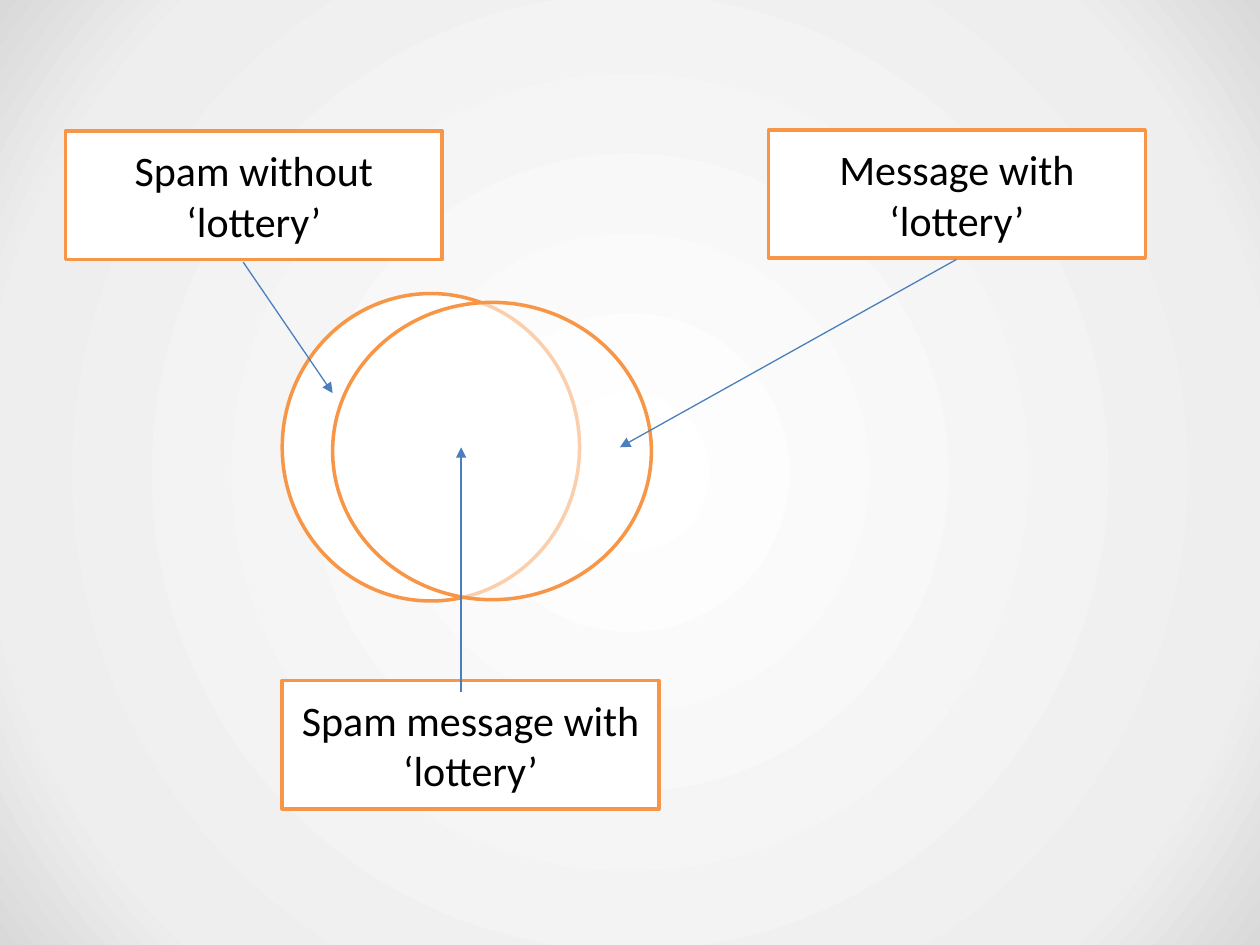
from lxml.etree import SubElement
from pptx import Presentation
from pptx.dml.color import RGBColor
from pptx.enum.shapes import MSO_CONNECTOR, MSO_SHAPE
from pptx.enum.text import MSO_ANCHOR, PP_ALIGN
from pptx.oxml.ns import qn
from pptx.util import Inches, Pt

ORANGE, BLUE, WHITE, BLACK = "F79646", "4B7EBC", "FFFFFF", "000000"
LABEL_SIZE = (2.99, 1.02)


def color(value):
    """Turn a hex string into a colour."""
    return RGBColor.from_string(value)


def add_child(parent, tag, **attributes):
    """Append a drawing element to parent and return it."""
    return SubElement(parent, qn(tag), **attributes)


def paint_background(page, stops):
    """Fill the page with a circular gradient spreading from its centre."""
    page.background.fill.solid()
    properties = page.background._cSld.find(".//" + qn("p:bgPr"))
    properties.remove(properties.find(qn("a:solidFill")))
    gradient = add_child(properties, "a:gradFill", rotWithShape="1")
    properties.insert(0, gradient)
    stop_list = add_child(gradient, "a:gsLst")
    for percent, value in stops:
        stop = add_child(stop_list, "a:gs", pos=str(percent * 1000))
        add_child(stop, "a:srgbClr", val=value)
    circle = add_child(gradient, "a:path", path="circle")
    add_child(circle, "a:fillToRect", l="50000", t="50000", r="50000", b="50000")


def add_outlined(page, kind, left, top, width, height, opacity=100):
    """Add a white shape with an orange outline."""
    shape = page.shapes.add_shape(kind, *map(Inches, (left, top, width, height)))
    shape.shadow.inherit = False
    shape.fill.solid()
    shape.fill.fore_color.rgb = color(WHITE)
    if opacity < 100:
        fill_color = shape._element.spPr.find(qn("a:solidFill"))[0]
        add_child(fill_color, "a:alpha", val=str(opacity * 1000))
    shape.line.color.rgb = color(ORANGE)
    shape.line.width = Pt(2)
    return shape


def write_text(shape, text, size=24, font="Calibri", ink=BLACK):
    """Write centred text in a shape."""
    frame = shape.text_frame
    frame.word_wrap = True
    frame.vertical_anchor = MSO_ANCHOR.MIDDLE
    para = frame.paragraphs[0]
    para.alignment = PP_ALIGN.CENTER
    span = para.add_run()
    span.text = text
    span.font.size = Pt(size)
    span.font.name = font
    span.font.color.rgb = color(ink)


def add_label(page, text, left, top):
    """Add a boxed label."""
    box = add_outlined(page, MSO_SHAPE.RECTANGLE, left, top, *LABEL_SIZE)
    write_text(box, text)


def add_arrow(page, start, end):
    """Add a thin blue arrow from start to end."""
    arrow = page.shapes.add_connector(
        MSO_CONNECTOR.STRAIGHT, *map(Inches, (*start, *end)))
    arrow.line.color.rgb = color(BLUE)
    arrow.line.width = Pt(0.75)
    add_child(arrow.line._get_or_add_ln(), "a:tailEnd", type="triangle")
    add_child(arrow._element.spPr, "a:effectLst")


def main():
    """Build the Venn diagram of spam and lottery messages."""
    deck = Presentation()
    deck.slide_width, deck.slide_height = Inches(10), Inches(7.5)
    page = deck.slides.add_slide(deck.slide_layouts[6])
    paint_background(page, [(0, WHITE), (81, "EEEEEE"), (100, "D9D9D9")])

    add_outlined(page, MSO_SHAPE.OVAL, 2.24, 2.33, 2.36, 2.44)
    add_outlined(page, MSO_SHAPE.OVAL, 2.64, 2.4, 2.53, 2.36, opacity=55)

    for text, left, top in (
        ("Message with ‘lottery’", 6.1, 1.03),
        ("Spam without ‘lottery’", 0.52, 1.04),
        ("Spam message with ‘lottery’", 2.24, 5.4),
    ):
        add_label(page, text, left, top)

    for start, end in (
        ((1.93, 2.08), (2.64, 3.12)),
        ((7.59, 2.06), (4.92, 3.55)),
        ((3.66, 5.49), (3.66, 3.55)),
    ):
        add_arrow(page, start, end)

    deck.save("out.pptx")


main()
